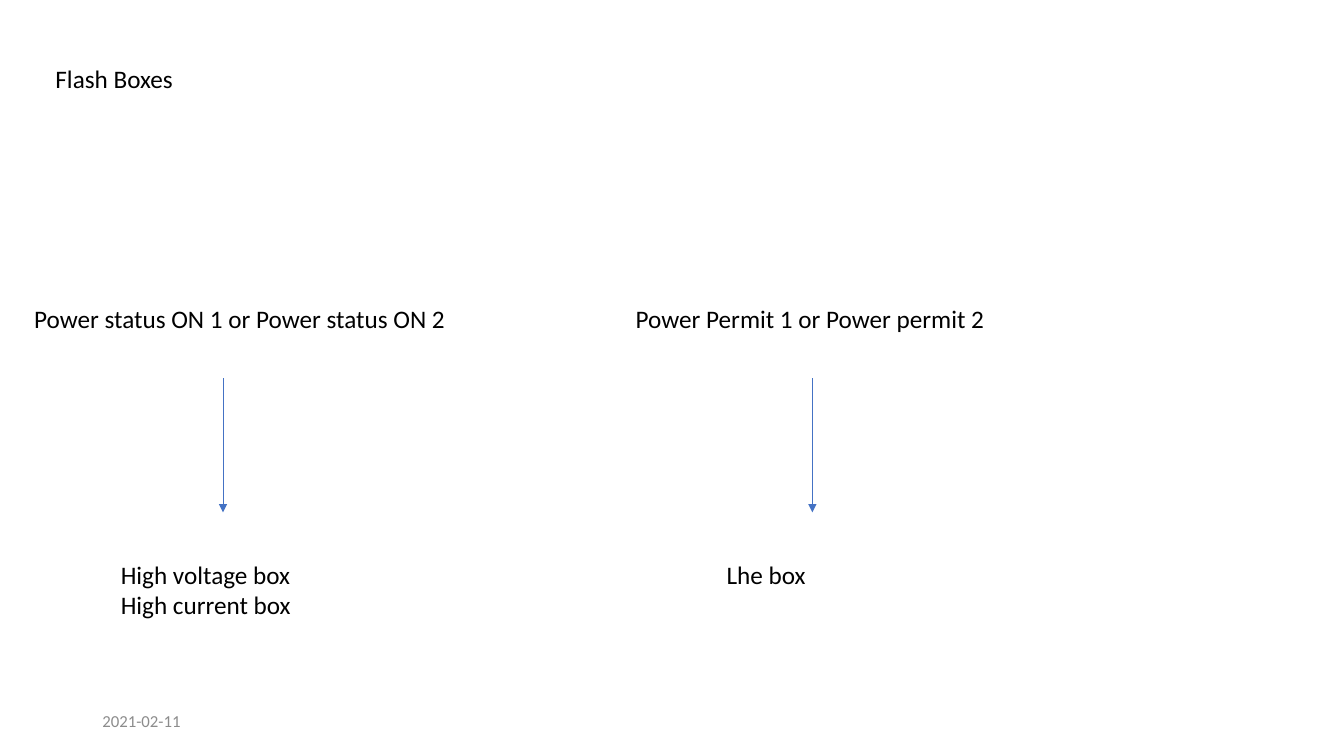
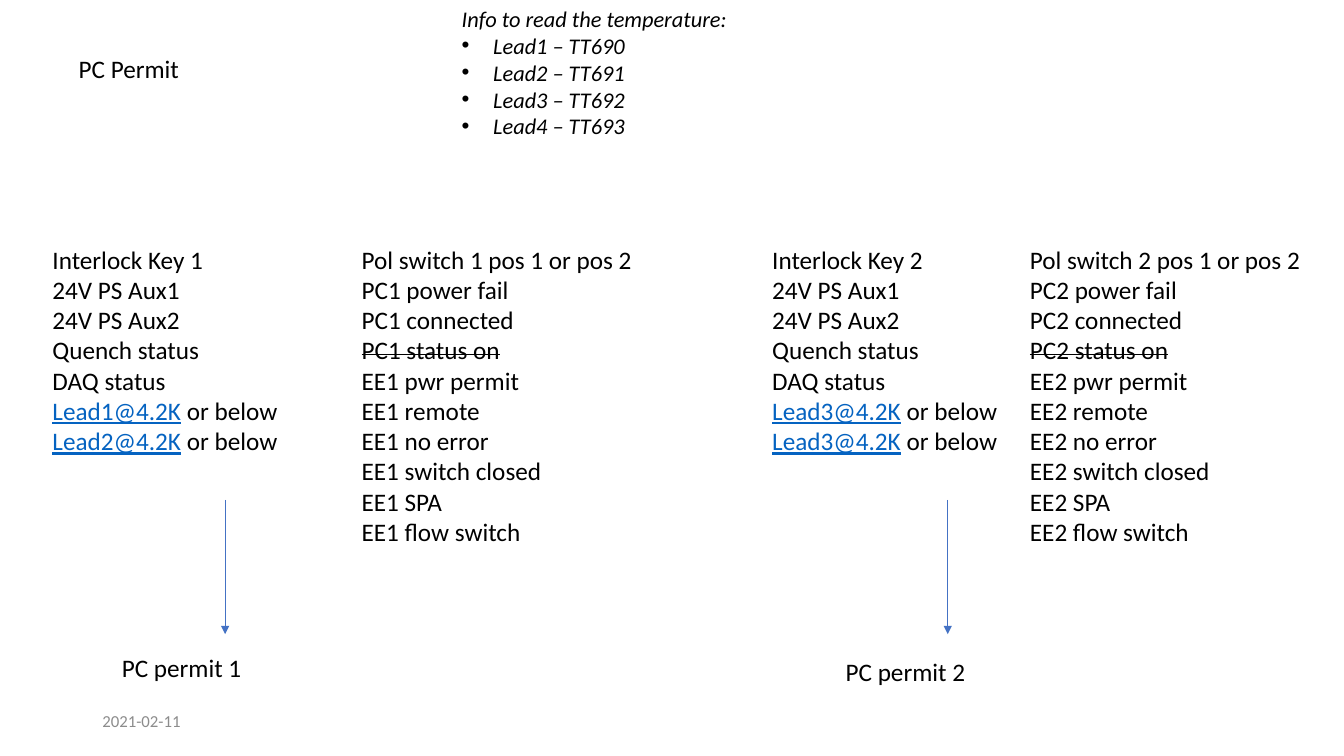
from dataclasses import dataclass

from lxml import etree
from pptx import Presentation
from pptx.dml.color import RGBColor
from pptx.enum import shapes, text
from pptx.oxml import ns
from pptx.util import Pt


@dataclass(frozen=True)
class Theme:
    font: str = "Calibri"
    ink: RGBColor = RGBColor(0x00, 0x00, 0x00)
    muted: RGBColor = RGBColor(0x8C, 0x8C, 0x8C)
    link: RGBColor = RGBColor(0x05, 0x63, 0xC1)
    arrow: RGBColor = RGBColor(0x44, 0x72, 0xC4)
    body: Pt = Pt(18)
    info: Pt = Pt(16)
    date: Pt = Pt(12)


theme = Theme()
FRAME = {
    "word_wrap": True,
    "auto_size": text.MSO_AUTO_SIZE.NONE,
    "vertical_anchor": text.MSO_ANCHOR.TOP,
}
PARAGRAPH = {"alignment": text.PP_ALIGN.LEFT, "space_before": Pt(0)}


def write(box, place, lines, size=theme.body, color=theme.ink, italic=False):
    for side, length in zip(("left", "top", "width", "height"), place):
        setattr(box, side, Pt(length))
    frame = box.text_frame
    for key, value in FRAME.items():
        setattr(frame, key, value)
    for number, line in enumerate(lines):
        paragraph = frame.add_paragraph() if number else frame.paragraphs[0]
        for key, value in PARAGRAPH.items():
            setattr(paragraph, key, value)
        lead, at, rest = line.partition("@4.2K")
        pieces = [(lead + at, bool(at)), (rest, False)] if at else [(line, False)]
        for words, linked in pieces:
            run = paragraph.add_run()
            run.text = words
            style = {"name": theme.font, "size": size, "italic": italic, "underline": linked}
            for key, value in style.items():
                setattr(run.font, key, value)
            run.font.color.rgb = theme.link if linked else color
            if words.endswith("status on"):
                run.font._element.set("strike", "sngStrike")
    return frame


def add_arrow(slide, x, top, length=96):
    arrow = slide.shapes.add_connector(
        shapes.MSO_CONNECTOR.STRAIGHT, Pt(x), Pt(top), Pt(x), Pt(top + length))
    arrow.line.color.rgb = theme.arrow
    arrow.line.width = Pt(0.5)
    etree.SubElement(arrow.line._get_or_add_ln(), ns.qn("a:tailEnd"), type="triangle")
    etree.SubElement(arrow._element.spPr, ns.qn("a:effectLst"))


deck = Presentation()
deck.slide_width, deck.slide_height = Pt(960), Pt(540)

flash = deck.slides.add_slide(deck.slide_layouts[5])
permit = deck.slides.add_slide(deck.slide_layouts[1])

for slide, heading, place in (
    (flash, "Flash Boxes", (32.4, 41.8, 110, 29)),
    (permit, "PC Permit", (49, 34.6, 100, 29)),
):
    write(slide.shapes.title, place, [heading])
    date = write(slide.shapes.add_textbox(0, 0, 0, 0), (66, 500.4, 216, 28.8),
                 ["2021-02-11"], theme.date, theme.muted)
    date.vertical_anchor = text.MSO_ANCHOR.MIDDLE

for condition, condition_x, arrow_x, boxes, boxes_x in (
    ("Power status ON 1 or Power status ON 2", 17.3, 159.3,
     ["High voltage box", "High current box"], 79.2),
    ("Power Permit 1 or Power permit 2", 447, 580.3, ["Lhe box"], 512),
):
    write(flash.shapes.add_textbox(0, 0, 0, 0), (condition_x, 213.1, 320, 29), [condition])
    add_arrow(flash, arrow_x, 270)
    write(flash.shapes.add_textbox(0, 0, 0, 0), (boxes_x, 396, 161, 29 * len(boxes)), boxes)

sensors = [f"Lead{number} – TT{689 + number}" for number in range(1, 5)]
info = write(permit.placeholders[1], (322.6, 0, 406, 106.6),
             ["Info to read the temperature:", *sensors], theme.info, italic=True)
for number, paragraph in enumerate(info.paragraphs):
    properties = paragraph._p.get_or_add_pPr()
    indent = Pt(22.5) if number else 0
    properties.set("marL", str(indent))
    properties.set("indent", str(-indent))
    if number:
        etree.SubElement(properties, ns.qn("a:buFont"), typeface="Arial")
        etree.SubElement(properties, ns.qn("a:buChar"), char="•")
    else:
        etree.SubElement(properties, ns.qn("a:buNone"))

for unit, leads, key_x, switch_x, arrow_x, result_x, result_top in (
    (1, (1, 2), 30.4, 251.2, 160.8, 80, 462.5),
    (2, (3, 3), 544.5, 728.6, 677, 597, 465),
):
    interlocks = [f"Interlock Key {unit}", "24V PS Aux1", "24V PS Aux2", "Quench status",
                  "DAQ status", *(f"Lead{lead}@4.2K or below" for lead in leads)]
    switches = [f"Pol switch {unit} pos 1 or pos 2"]
    switches += [f"PC{unit} {state}" for state in ("power fail", "connected", "status on")]
    switches += [f"EE{unit} {state}" for state in (
        "pwr permit", "remote", "no error", "switch closed", "SPA", "flow switch")]
    write(permit.shapes.add_textbox(0, 0, 0, 0), (key_x, 170.8, 182, 160), interlocks)
    write(permit.shapes.add_textbox(0, 0, 0, 0), (switch_x, 170.8, 215, 225), switches)
    add_arrow(permit, arrow_x, 357)
    write(permit.shapes.add_textbox(0, 0, 0, 0), (result_x, result_top, 161, 29),
          [f"PC permit {unit}"])

deck.save("out.pptx")
